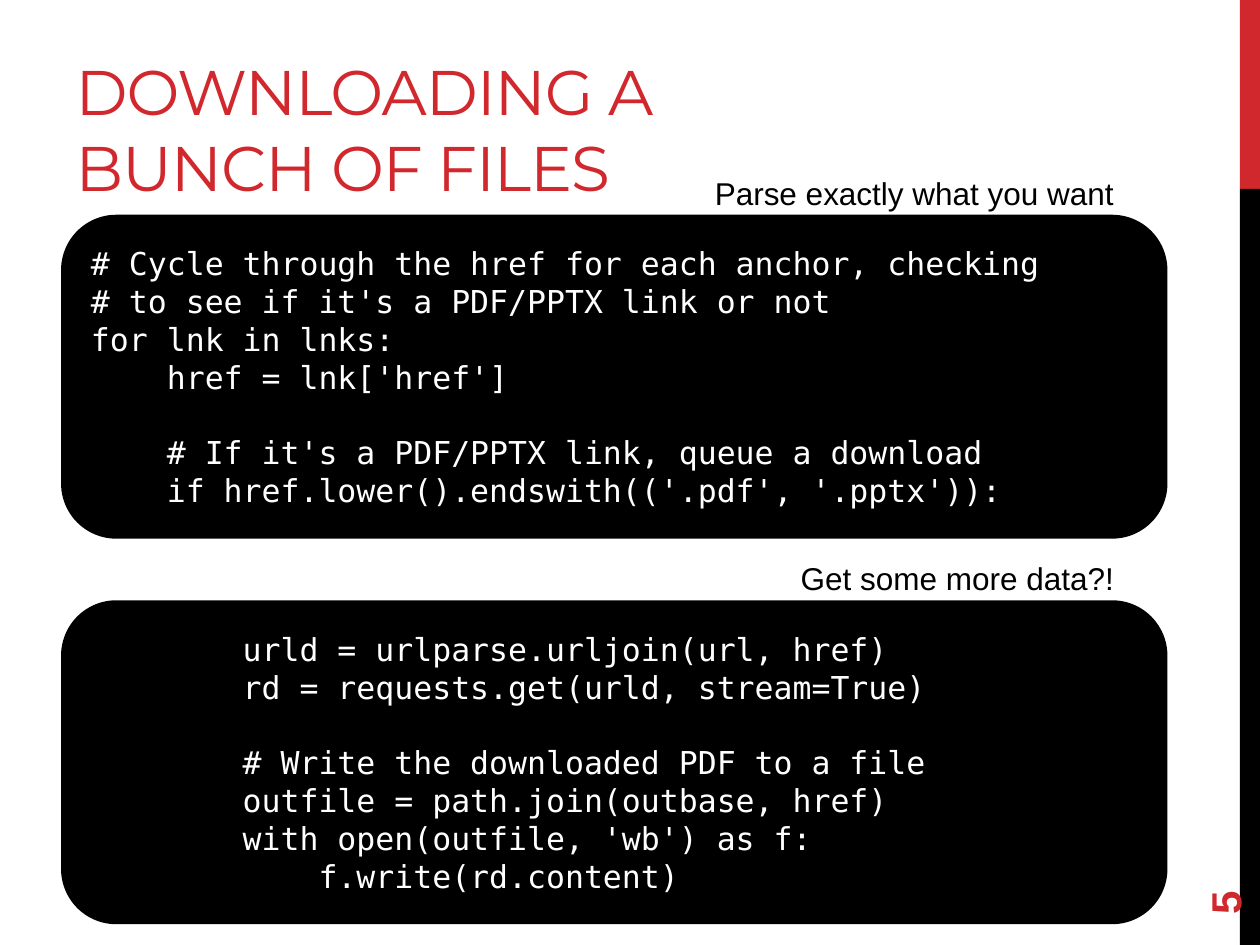
from lxml.etree import SubElement
from pptx import Presentation
from pptx.dml.color import RGBColor
from pptx.enum.shapes import MSO_SHAPE
from pptx.enum.text import MSO_ANCHOR, MSO_AUTO_SIZE, PP_ALIGN
from pptx.util import Pt

PX = 9144
RED, BLACK, WHITE = "D1282E", "000000", "FFFFFF"


def color(hex_string):
    return RGBColor.from_string(hex_string)


def write(shape, text, size=18, font="Arial", fill=BLACK, bold=False,
          align=PP_ALIGN.LEFT, anchor=MSO_ANCHOR.TOP, spacing=0, wrap=True):
    frame = shape.text_frame
    frame.auto_size = MSO_AUTO_SIZE.NONE
    frame.word_wrap = wrap
    frame.vertical_anchor = anchor
    for index, line in enumerate(text.split("\n")):
        paragraph = frame.add_paragraph() if index else frame.paragraphs[0]
        paragraph.alignment = align
        run = paragraph.add_run()
        run.text = line
        run.font.size = Pt(size)
        run.font.name = font
        run.font.bold = bold
        run.font.color.rgb = color(fill)
        if spacing:
            run.font._element.set("spc", str(spacing))


presentation = Presentation()
presentation.slide_width = 1000 * PX
presentation.slide_height = 750 * PX
slide = presentation.slides.add_slide(presentation.slide_layouts[5])
shapes = slide.shapes

for top, height, fill in [(0, 150, RED), (150, 600, BLACK)]:
    bar = shapes.add_shape(MSO_SHAPE.RECTANGLE, 984 * PX, top * PX, 16 * PX, height * PX)
    bar.shadow.inherit = False
    bar.fill.solid()
    bar.fill.fore_color.rgb = color(fill)
    bar.line.fill.background()

title = shapes.title
title.left, title.top, title.width, title.height = 50 * PX, 17 * PX, 633 * PX, 150 * PX
write(title, "DOWNLOADING A BUNCH OF FILES", size=36, font="Montserrat", fill=RED,
      anchor=MSO_ANCHOR.BOTTOM, spacing=-60)

number = shapes.add_textbox(900 * PX, 644 * PX, 144 * PX, 40 * PX)
number.rotation = 270
write(number, "5", size=24, fill=RED, bold=True, anchor=MSO_ANCHOR.MIDDLE)

filter_code = """# Cycle through the href for each anchor, checking
# to see if it's a PDF/PPTX link or not
for lnk in lnks:
    href = lnk['href']

    # If it's a PDF/PPTX link, queue a download
    if href.lower().endswith(('.pdf', '.pptx')):"""

download_code = """        urld = urlparse.urljoin(url, href)
        rd = requests.get(urld, stream=True)

        # Write the downloaded PDF to a file
        outfile = path.join(outbase, href)
        with open(outfile, 'wb') as f:
            f.write(rd.content)"""

sections = [
    (172, "Parse exactly what you want", 551, filter_code),
    (478, "Get some more data?!", 592, download_code),
]
for top, caption_text, caption_left, code in sections:
    panel = shapes.add_shape(MSO_SHAPE.ROUNDED_RECTANGLE, 50 * PX, top * PX, 875 * PX, 254 * PX)
    panel.shadow.inherit = False
    panel.fill.solid()
    panel.fill.fore_color.rgb = color(BLACK)
    panel.line.color.rgb = color(BLACK)
    panel.line.width = Pt(2.25)
    write(panel, code, font="DejaVu Sans Mono", fill=WHITE, anchor=MSO_ANCHOR.MIDDLE)

    caption = shapes.add_textbox(caption_left * PX, (top - 39) * PX,
                                 (894 - caption_left) * PX, 40 * PX)
    write(caption, caption_text, align=PP_ALIGN.RIGHT, wrap=False)

presentation.save("out.pptx")
